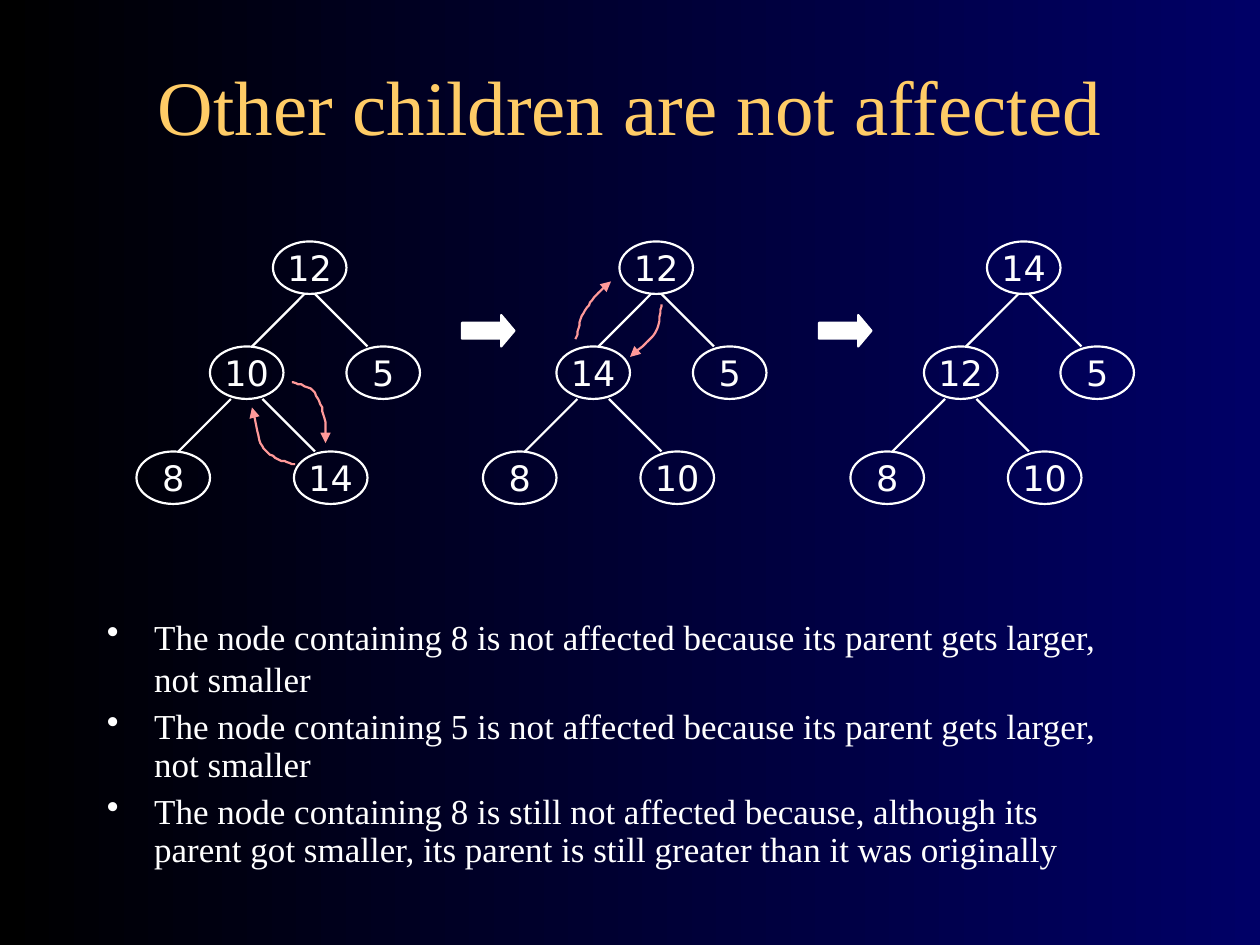
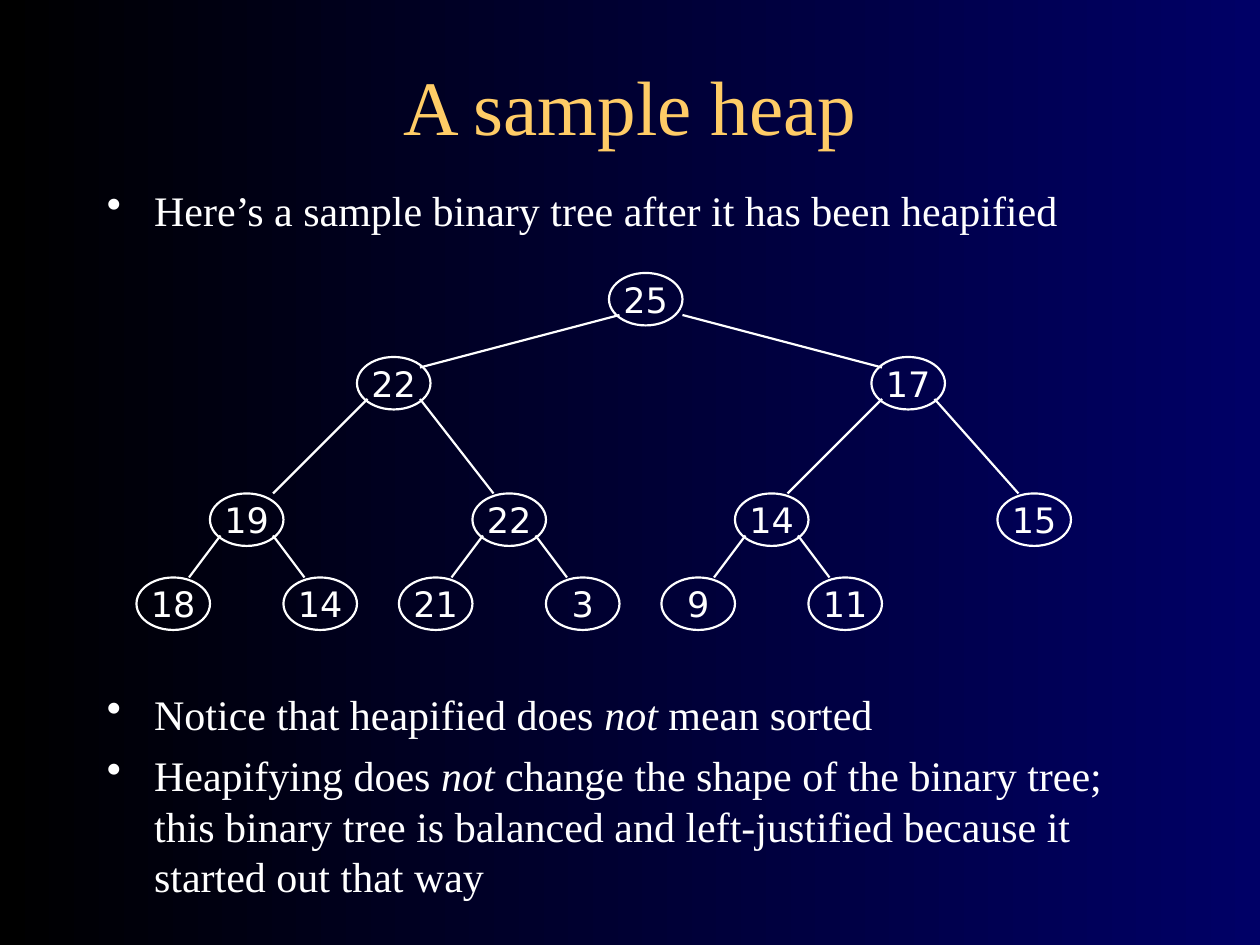
from lxml import etree
from pptx import Presentation
from pptx import util as u
from pptx.dml.color import RGBColor
from pptx.enum import shapes, text
from pptx.oxml import ns

PX = 7620
WHITE = RGBColor(0xFF, 0xFF, 0xFF)
GOLD = RGBColor(0xFF, 0xCC, 0x66)
PINK = RGBColor(0xFF, 0x99, 0x99)
BLACK = RGBColor(0x00, 0x00, 0x00)
NAVY = RGBColor(0x00, 0x00, 0x66)
SERIF = "Times New Roman"
SANS = "DejaVu Sans"
NODE_WIDTH, NODE_HEIGHT = 70, 50
HEAP_NODES = [(130, 230), (70, 330), (200, 330), (0, 430), (150, 430)]
HEAP_EDGES = [(160, 280, -50), (170, 280, 50), (90, 380, -50), (120, 380, 50)]


def px(*lengths):
    return [u.Emu(round(length * PX)) for length in lengths]


def apply(target, values):
    for name, value in values.items():
        setattr(target, name, value)


def add_xml(parent, tag, **attributes):
    return etree.SubElement(parent, ns.qn(tag), attributes)


def bezier_points(points, steps=8):
    for start in range(0, len(points) - 1, 3):
        a, b, c, d = points[start:start + 4]
        for step in range(1, steps + 1):
            t = step / steps
            s = 1 - t
            yield tuple(
                s ** 3 * a[axis] + 3 * s * s * t * b[axis]
                + 3 * s * t * t * c[axis] + t ** 3 * d[axis]
                for axis in (0, 1)
            )


class SlideMaker:
    def __init__(self):
        self.deck = Presentation()
        apply(self.deck, {"slide_width": u.Inches(10), "slide_height": u.Inches(7.5)})
        fill = self.deck.slide_master.background.fill
        fill.gradient()
        fill.gradient_angle = 0
        for stop, position, color in zip(fill.gradient_stops, (0, 1), (BLACK, NAVY)):
            stop.position = position
            stop.color.rgb = color

    def page(self, title):
        self.slide = self.deck.slides.add_slide(self.deck.slide_layouts[5])
        self.canvas = self.slide.shapes
        box = self.canvas.title
        left, top, width, height = px(40, 50, 1120, 100)
        apply(box, {"left": left, "top": top, "width": width, "height": height})
        box.text_frame.vertical_anchor = text.MSO_ANCHOR.MIDDLE
        para = box.text_frame.paragraphs[0]
        para.alignment = text.PP_ALIGN.CENTER
        self.span(para, title, 44, GOLD)

    def group(self):
        self.canvas = self.slide.shapes.add_group_shape().shapes

    def span(self, para, words, size, color=WHITE, name=SERIF, italic=False):
        span = para.add_run()
        span.text = words
        apply(span.font, {"size": u.Pt(size), "name": name, "italic": italic})
        span.font.color.rgb = color

    def bullets(self, place, items, size, before, spacing=None):
        box = self.slide.shapes.add_textbox(*px(*place))
        frame = box.text_frame
        frame.word_wrap = True
        for index, item in enumerate(items):
            para = frame.add_paragraph() if index else frame.paragraphs[0]
            apply(para, {"space_before": u.Pt(before), "line_spacing": spacing})
            layout = para._p.get_or_add_pPr()
            layout.set("marL", str(45 * PX))
            layout.set("indent", str(-45 * PX))
            color = add_xml(layout, "a:buClr")
            add_xml(color, "a:srgbClr", val=str(WHITE))
            add_xml(layout, "a:buChar", char="•")
            for part, words in enumerate(item.split("*")):
                self.span(para, words, size, italic=part % 2 == 1)

    def outline(self, shape, color=WHITE):
        shape.line.color.rgb = color
        shape.line.width = u.Pt(1.25)

    def node(self, x, y, value):
        oval = self.canvas.add_shape(
            shapes.MSO_SHAPE.OVAL, *px(x, y, NODE_WIDTH, NODE_HEIGHT))
        oval.shadow.inherit = False
        oval.fill.background()
        self.outline(oval)
        apply(oval.text_frame, {
            "word_wrap": False, "vertical_anchor": text.MSO_ANCHOR.MIDDLE})
        para = oval.text_frame.paragraphs[0]
        para.alignment = text.PP_ALIGN.CENTER
        self.span(para, str(value), 20, name=SANS)

    def edge(self, *ends):
        line = self.canvas.add_connector(shapes.MSO_CONNECTOR.STRAIGHT, *px(*ends))
        self.outline(line)
        add_xml(line._element.spPr, "a:effectLst")

    def step_arrow(self, x, y):
        arrow = self.slide.shapes.add_shape(
            shapes.MSO_SHAPE.RIGHT_ARROW, *px(x, y, 50, 30))
        arrow.shadow.inherit = False
        arrow.adjustments[1] = 0.42
        arrow.fill.solid()
        arrow.fill.fore_color.rgb = WHITE
        self.outline(arrow)

    def swap_arrow(self, points):
        builder = self.canvas.build_freeform(*points[0], scale=PX)
        builder.add_line_segments(list(bezier_points(points)), close=False)
        curve = builder.convert_to_shape()
        curve.shadow.inherit = False
        curve.fill.background()
        self.outline(curve, PINK)
        add_xml(curve.line._get_or_add_ln(), "a:tailEnd", type="triangle")

    def small_heap(self, left, values):
        self.group()
        for (x, y), value in zip(HEAP_NODES, values):
            self.node(left + x, y, value)
        for x, y, shift in HEAP_EDGES:
            self.edge(left + x, y, left + x + shift, y + 50)

    def swap(self, *curves):
        self.group()
        for points in curves:
            self.swap_arrow(points)


def build_swaps(maker):
    maker.page("Other children are not affected")
    maker.bullets((90, 580, 980, 97), [
        "The node containing 8 is not affected because its parent gets larger, not smaller",
    ], 20, 5)
    maker.bullets((90, 670, 1000, 170), [
        "The node containing 5 is not affected because its parent gets larger, not smaller",
        "The node containing 8 is still not affected because, although its parent got "
        "smaller, its parent is still greater than it was originally",
    ], 20, 5, 0.9)
    maker.small_heap(130, (12, 10, 5, 8, 14))
    maker.swap(
        [(281, 442), (278, 442), (269, 439), (264, 437), (258, 433), (252, 430),
         (248, 422), (245, 414), (242, 395), (240, 388)],
        [(278, 364), (281, 365), (292, 367), (298, 372), (302, 378), (307, 386),
         (308, 395), (311, 403), (310, 418), (310, 422)],
    )
    maker.step_arrow(440, 300)
    maker.small_heap(460, (12, 14, 5, 8, 10))
    maker.step_arrow(780, 300)
    maker.small_heap(810, (14, 12, 5, 8, 10))
    maker.swap(
        [(548, 323), (550, 319), (552, 308), (554, 301), (558, 294), (563, 287),
         (568, 281), (572, 276), (580, 270), (582, 268)],
        [(630, 290), (629, 294), (629, 308), (624, 317), (619, 325), (605, 335),
         (600, 340)],
    )


def build_sample(maker):
    maker.page("A sample heap")
    maker.bullets((90, 170, 1020, 100), [
        "Here’s a sample binary tree after it has been heapified",
    ], 24, 6)
    maker.bullets((90, 650, 1020, 220), [
        "Notice that heapified does *not* mean sorted",
        "Heapifying does *not* change the shape of the binary tree; this binary tree "
        "is balanced and left-justified because it started out that way",
    ], 24, 6)
    maker.group()
    families = [(19, 18, 14), (22, 21, 3), (14, 9, 11), (15,)]
    for index, (parent, *children) in enumerate(families):
        x, y = 200 + 250 * index, 470
        maker.node(x, y, parent)
        for child, shift, start, end in zip(children, (-70, 70), (10, 60), (-20, 90)):
            maker.node(x + shift, y + 80, child)
            maker.edge(x + start, y + 40, x + end, y + 80)
    for x, y, value in [(580, 260, 25), (830, 340, 17), (340, 340, 22)]:
        maker.node(x, y, value)
    for ends in [(590, 300, 400, 350), (650, 300, 840, 350),
                 (350, 380, 260, 470), (400, 380, 470, 470),
                 (840, 380, 750, 470), (890, 380, 970, 470)]:
        maker.edge(*ends)


def main():
    maker = SlideMaker()
    build_swaps(maker)
    build_sample(maker)
    maker.deck.save("out.pptx")


if __name__ == "__main__":
    main()
